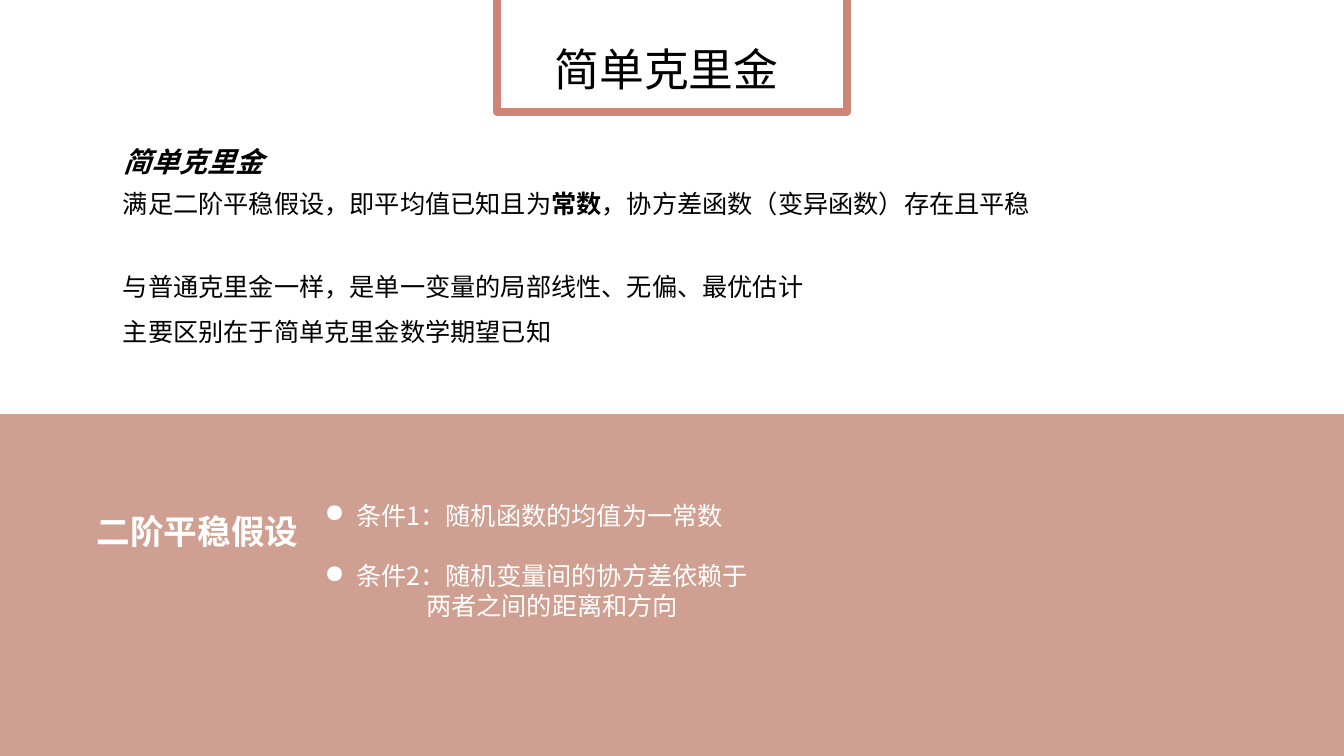
from lxml.etree import SubElement
from pptx import Presentation
from pptx.dml.color import RGBColor
from pptx.enum.shapes import MSO_SHAPE as Shape
from pptx.enum.text import MSO_ANCHOR as Anchor, MSO_AUTO_SIZE as AutoSize, PP_ALIGN as Align
from pptx.oxml.ns import qn
from pptx.util import Pt

FONT = "Noto Sans CJK SC"
BLACK = RGBColor(0x00, 0x00, 0x00)
WHITE = RGBColor(0xFF, 0xFF, 0xFF)
ROSE = RGBColor(0xCF, 0xA0, 0x91)
FRAME_RED = RGBColor(0xCE, 0x85, 0x76)


def place(box, left, top, width, height, wrap=True):
    box.left, box.top, box.width, box.height = Pt(left), Pt(top), Pt(width), Pt(height)
    frame = box.text_frame
    frame.word_wrap = wrap
    frame.auto_size = AutoSize.NONE
    frame.vertical_anchor = Anchor.TOP
    return frame.paragraphs[0]


def write(para, text, size=18, color=BLACK, bold=False, italic=False, spacing=1.0):
    para.alignment = Align.LEFT
    para.line_spacing = spacing
    span = para.add_run()
    span.text = text
    font = span.font
    font.size, font.bold, font.italic = Pt(size), bold, italic
    font.color.rgb = color
    font.name = FONT
    SubElement(font._element, qn("a:ea"), typeface=FONT)


deck = Presentation()
deck.slide_width, deck.slide_height = Pt(960), Pt(540)
page = deck.slides.add_slide(deck.slide_layouts[5])
shapes = page.shapes

# Lower band and title frame
band = shapes.add_shape(Shape.FLOWCHART_PROCESS, 0, Pt(296), Pt(960), Pt(244))
title_frame = shapes.add_shape(Shape.RECTANGLE, Pt(355), Pt(-43), Pt(250), Pt(123))
for panel, fill in ((band, ROSE), (title_frame, WHITE)):
    panel.shadow.inherit = False
    panel.fill.solid()
    panel.fill.fore_color.rgb = fill
band.line.fill.background()
title_frame.line.color.rgb = FRAME_RED
title_frame.line.width = Pt(5.5)

# Title, brought in front of its frame
title = shapes.title
title_frame._element.addnext(title._element)
write(place(title, 388.8, 26, 216.5, 46), "简单克里金", size=32)

# Definition
heading = shapes.add_textbox(0, 0, 0, 0)
write(place(heading, 80.8, 99.5, 115, 31.5, wrap=False), "简单克里金", size=20, bold=True, italic=True)

definition = shapes.add_textbox(0, 0, 0, 0)
para = place(definition, 80.8, 131, 664.5, 29)
write(para, "满足二阶平稳假设，即平均值已知且为")
write(para, "常数", bold=True)
write(para, "，协方差函数（变异函数）存在且平稳")

# Comparison with ordinary kriging
comparison = shapes.add_textbox(0, 0, 0, 0)
para = place(comparison, 80.8, 179.5, 664.5, 69)
write(para, "与普通克里金一样，是单一变量的局部线性、无偏、最优估计", spacing=1.5)
write(comparison.text_frame.add_paragraph(), "主要区别在于简单克里金数学期望已知", spacing=1.5)

# Stationarity conditions
label = shapes.add_textbox(0, 0, 0, 0)
write(place(label, 62, 361.5, 176.5, 36), "二阶平稳假设", size=24, color=WHITE, bold=True)

conditions = shapes.add_textbox(0, 0, 0, 0)
para = place(conditions, 224.8, 353.5, 326, 94.5)
lines = [
    ("条件1：随机函数的均值为一常数", True, 0),
    ("条件2：随机变量间的协方差依赖于", True, 21.6),
    ("两者之间的距离和方向", False, 0),
]
for number, (text, bulleted, gap) in enumerate(lines):
    if number:
        para = conditions.text_frame.add_paragraph()
        para.space_before = Pt(gap)
    props = para._p.get_or_add_pPr()
    if bulleted:
        props.set("marL", str(Pt(22.5)))
        props.set("indent", str(Pt(-22.5)))
        SubElement(props, qn("a:buChar"), char="●")
    else:
        props.set("marL", str(Pt(72.5)))
    write(para, text, color=WHITE)

deck.save("out.pptx")
